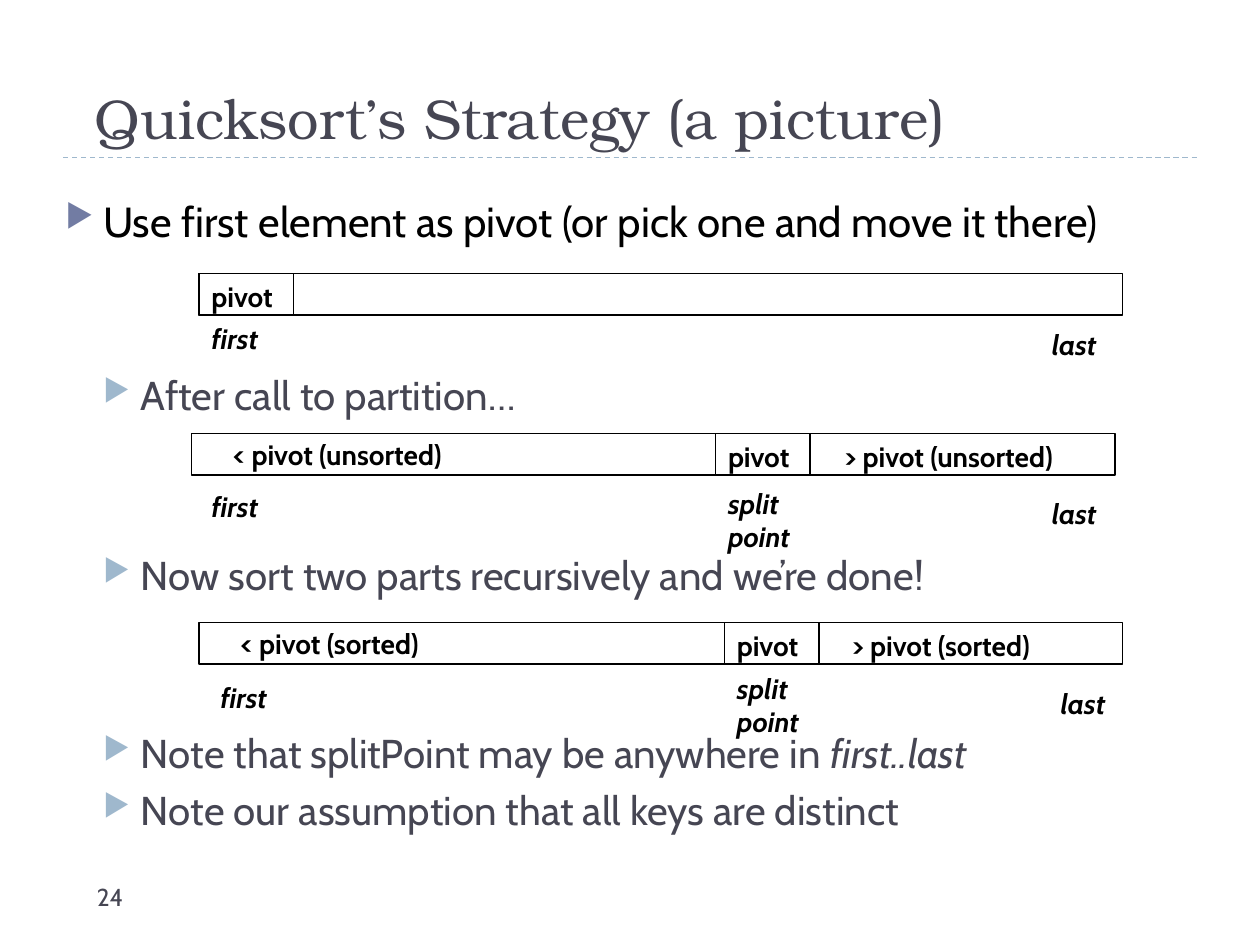
from lxml import etree
from pptx import Presentation
from pptx import util as u
from pptx.dml.color import RGBColor
from pptx.enum import dml, shapes, text
from pptx.oxml import ns

TITLE = "Quicksort’s Strategy (a picture)"
PAGE_NUMBER = "24"
BULLETS = [
    (0, 6, [("Use first element as pivot (or pick one and move it there)", False)]),
    (1, 71, [("After call to partition…", False)]),
    (1, 75.5, [("Now sort two parts recursively and we’re done!", False)]),
    (1, 74, [("Note that splitPoint may be anywhere in ", False), ("first..last", True)]),
    (1, 5, [("Note our assumption that all keys are distinct", False)]),
]
LEVELS = [
    {"size": 24, "color": "000000", "bullet": "727CA3", "indent": 0.3},
    {"size": 23, "color": "464653", "bullet": "9FB8CD", "indent": 0.6},
]
BARS = [
    {"left": 1.58, "top": 2.17, "pivot": 0, "state": None, "ends": (0, 0.33)},
    {"left": 1.52, "top": 3.44, "pivot": 4.16, "state": "unsorted", "ends": (0.06, 0.4), "split": 0.37},
    {"left": 1.58, "top": 4.94, "pivot": 4.17, "state": "sorted", "ends": (0.07, 0.41), "split": 0.34},
]
BAR_WIDTH, PIVOT_WIDTH, BAR_HEIGHT = 7.33, 0.75, 0.33
LAST_SHIFT, LAST_DROP = 6.67, 0.05
BODY_FONT, TITLE_FONT = "Cabin", "TeX Gyre Bonum"
INK, BLACK, RULE = "464653", "000000", "9FB8CD"


def color(value):
    return RGBColor.from_string(value)


def inches(*lengths):
    return [u.Inches(length) for length in lengths]


def set_font(font, size, value, name=BODY_FONT, bold=False, italic=False):
    font.name, font.size, font.bold, font.italic = name, u.Pt(size), bold, italic
    font.color.rgb = color(value)


def add_text(page, words, place, size=16, value=BLACK, bold=True, italic=False):
    box = page.shapes.add_textbox(*inches(*place))
    box.text_frame.word_wrap = True
    box.text_frame.text = words
    set_font(box.text_frame.paragraphs[0].font, size, value, bold=bold, italic=italic)


def add_cell(page, left, top, width):
    cell = page.shapes.add_shape(
        shapes.MSO_SHAPE.RECTANGLE, *inches(left, top, width, BAR_HEIGHT))
    cell.shadow.inherit = False
    cell.fill.background()
    cell.line.color.rgb = color(BLACK)
    cell.line.width = u.Pt(0.75)


def add_bullet(para, level):
    props = para._p.get_or_add_pPr()
    props.set("marL", str(u.Inches(level["indent"])))
    props.set("indent", str(u.Inches(-0.3)))
    tint = etree.SubElement(props, ns.qn("a:buClr"))
    etree.SubElement(tint, ns.qn("a:srgbClr"), val=level["bullet"])
    etree.SubElement(props, ns.qn("a:buSzPct"), val="76000")
    etree.SubElement(props, ns.qn("a:buChar"), char="▶")


def add_title(page):
    title = page.shapes.title
    title.left, title.top, title.width, title.height = inches(0.5, 0.17, 9, 1.08)
    frame = title.text_frame
    frame.text = TITLE
    frame.auto_size = text.MSO_AUTO_SIZE.NONE
    frame.vertical_anchor = text.MSO_ANCHOR.BOTTOM
    frame.margin_left = u.Inches(0.25)
    para = frame.paragraphs[0]
    para.alignment = text.PP_ALIGN.LEFT
    set_font(para.font, 32, INK, TITLE_FONT)
    rule = page.shapes.add_connector(
        shapes.MSO_CONNECTOR.STRAIGHT, *inches(0.5, 1.25, 9.5, 1.25))
    rule.line.color.rgb = color(RULE)
    rule.line.width = u.Pt(0.75)
    rule.line.dash_style = dml.MSO_LINE.DASH
    etree.SubElement(rule._element.spPr, ns.qn("a:effectLst"))


def add_bullets(page):
    frame = page.shapes.add_textbox(*inches(0.42, 1.5, 9.25, 5.3)).text_frame
    frame.word_wrap = True
    for index, (depth, gap, spans) in enumerate(BULLETS):
        para = frame.add_paragraph() if index else frame.paragraphs[0]
        level = LEVELS[depth]
        para.level = depth
        para.alignment = text.PP_ALIGN.JUSTIFY
        para.space_before = u.Pt(gap)
        add_bullet(para, level)
        set_font(para.font, level["size"], level["color"])
        for words, italic in spans:
            span = para.add_run()
            span.text = words
            if italic:
                span.font.italic = True


def add_bar(page, bar):
    left, top = bar["left"], bar["top"]
    pivot = left + bar["pivot"]
    add_cell(page, left, top, BAR_WIDTH)
    add_cell(page, pivot, top, PIVOT_WIDTH)
    add_text(page, "pivot", (pivot, top, 1, 0.37))
    shift, drop = bar["ends"]
    first, below = left + shift, top + drop
    add_text(page, "first", (first, below, 0.67, 0.37), italic=True)
    add_text(page, "last", (first + LAST_SHIFT, below + LAST_DROP, 0.67, 0.37), italic=True)
    if bar["state"]:
        add_text(page, f"< pivot ({bar['state']})", (left + 0.23, top - 0.02, 2.28, 0.37))
        add_text(page, f"> pivot ({bar['state']})", (left + 5.08, top, 2.75, 0.37))
        add_text(page, "split point", (pivot, top + bar["split"], 1.08, 0.64), italic=True)


def main():
    deck = Presentation()
    deck.slide_width, deck.slide_height = inches(10, 7.5)
    page = deck.slides.add_slide(deck.slide_layouts[5])
    add_title(page)
    add_text(page, PAGE_NUMBER, (0.67, 6.95, 2.17, 0.4), 14, INK, bold=False)
    add_bullets(page)
    for bar in BARS:
        add_bar(page, bar)
    deck.save("out.pptx")


if __name__ == "__main__":
    main()
